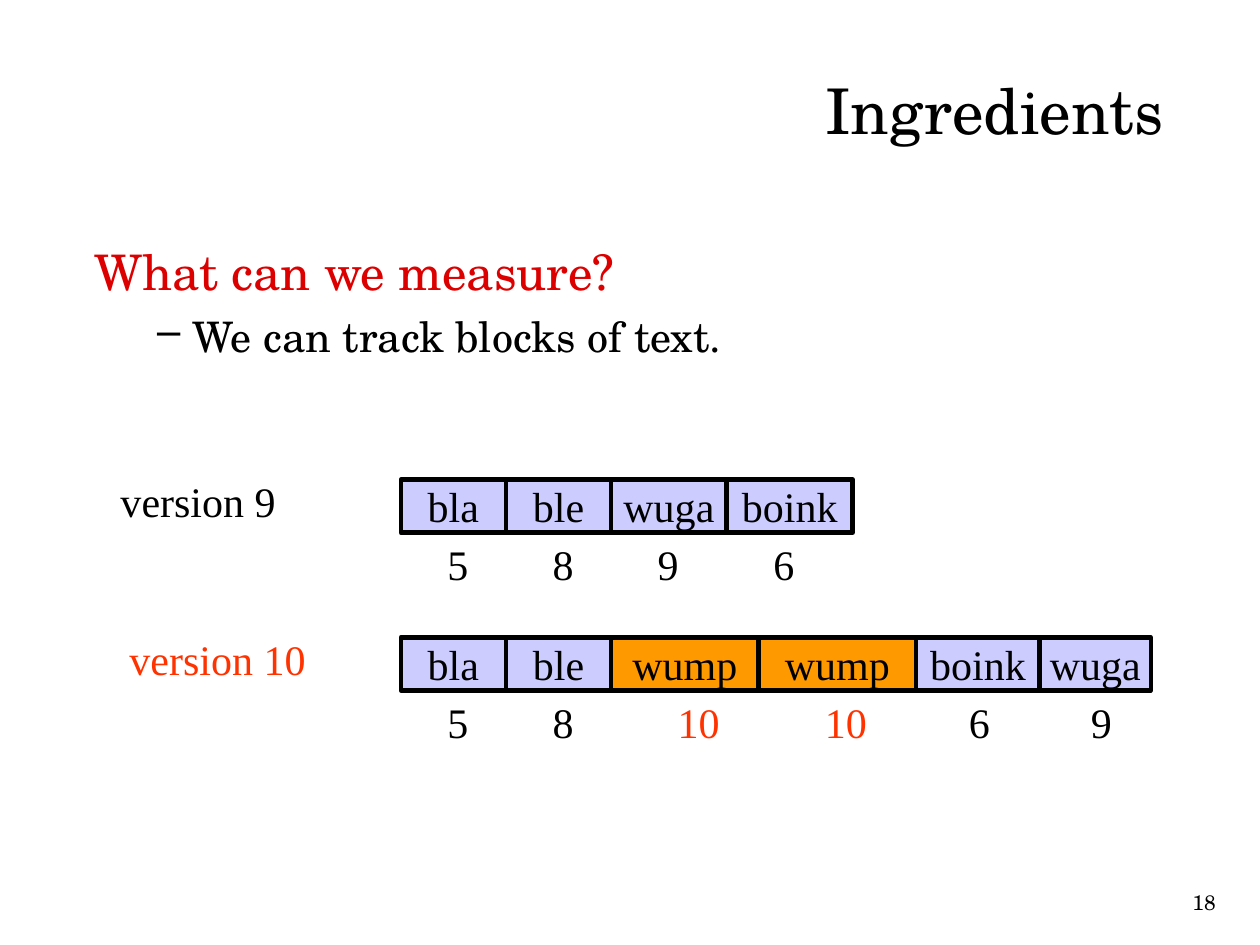
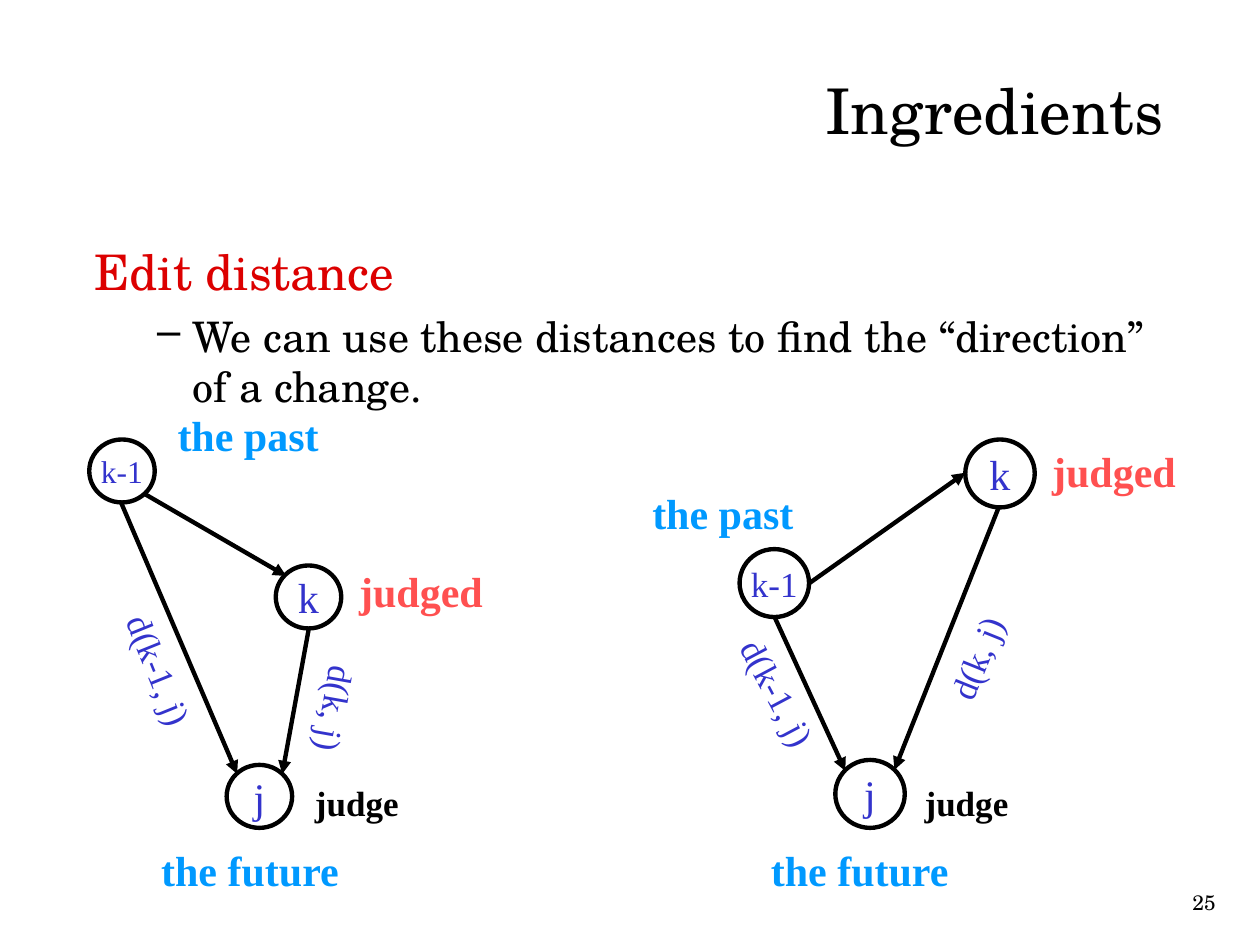
from pptx import Presentation
from pptx.dml.color import RGBColor
from pptx.enum.shapes import MSO_CONNECTOR, MSO_SHAPE
from pptx.enum.text import MSO_ANCHOR, PP_ALIGN
from pptx.oxml.ns import qn
from pptx.util import Cm, Pt
from lxml.etree import SubElement

BLACK = RGBColor(0x00, 0x00, 0x00)
RED = RGBColor(0xDC, 0x00, 0x00)
LILAC = RGBColor(0xCC, 0xCC, 0xFF)
ORANGE = RGBColor(0xFF, 0x99, 0x00)
FLAME = RGBColor(0xFF, 0x33, 0x00)
BLUE = RGBColor(0x33, 0x33, 0xCC)
SKY = RGBColor(0x00, 0x99, 0xFF)
CORAL = RGBColor(0xFF, 0x50, 0x50)
SCHOLA = "TeX Gyre Schola"
TIMES = "Times New Roman"


def style(para, text, size, color, font=TIMES, bold=False, align=PP_ALIGN.LEFT):
    para.text = text
    para.alignment = align
    for run in para.runs:
        run.font.name = font
        run.font.size = Pt(size)
        run.font.bold = bold
        run.font.color.rgb = color


def label(slide, text, left, top, width, height, size, color, bold=False, angle=0):
    box = slide.shapes.add_textbox(Cm(left), Cm(top), Cm(width), Cm(height))
    box.rotation = angle
    box.text_frame.word_wrap = False
    style(box.text_frame.paragraphs[0], text, size, color, bold=bold)


deck = Presentation()
deck.slide_width = Cm(25.4)
deck.slide_height = Cm(19.05)

pages = [
    ("What can we measure?", "We can track blocks of text.", "18"),
    ("Edit distance", "We can use these distances to find the “direction” of a change.", "25"),
]
slides = []
for head, point, number in pages:
    slide = deck.slides.add_slide(deck.slide_layouts[6])
    slides.append(slide)

    title = slide.shapes.add_textbox(Cm(1.9), Cm(0.76), Cm(21.56), Cm(2.9))
    body = slide.shapes.add_textbox(Cm(1.9), Cm(4.86), Cm(21.56), Cm(12.65))
    for box in (title, body):
        frame = box.text_frame
        frame.word_wrap = True
        frame.margin_left = frame.margin_right = 0
        frame.margin_top = frame.margin_bottom = 0
    title.text_frame.vertical_anchor = MSO_ANCHOR.MIDDLE
    style(title.text_frame.paragraphs[0], "Ingredients", 36, BLACK, SCHOLA,
          align=PP_ALIGN.RIGHT)

    style(body.text_frame.paragraphs[0], head, 28, RED, SCHOLA)
    item = body.text_frame.add_paragraph()
    item.level = 1
    item.space_before = Pt(6)
    props = item._p.get_or_add_pPr()
    props.set("marL", str(Cm(1.98)))
    props.set("indent", str(Cm(-0.71)))
    SubElement(props, qn("a:buChar")).set("char", "–")
    style(item, point, 24, BLACK, SCHOLA)

    foot = slide.shapes.add_textbox(Cm(23.52), Cm(17.8), Cm(1.24), Cm(0.76))
    foot.text_frame.word_wrap = True
    style(foot.text_frame.paragraphs[0], number, 12, BLACK, SCHOLA,
          align=PP_ALIGN.RIGHT)

blocks, graphs = slides

rows = [
    ("version 9", 2.18, 3.7, BLACK, 9.67, [
        ("bla", "5", 2.12, 0.69), ("ble", "8", 2.12, 0.69),
        ("wuga", "9", 2.33, 0.69), ("boink", "6", 2.54, 0.69)]),
    ("version 10", 2.36, 4.1, FLAME, 12.85, [
        ("bla", "5", 2.12, 0.69), ("ble", "8", 2.12, 0.69),
        ("wump", "10", 2.97, 1.09), ("wump", "10", 3.18, 1.09),
        ("boink", "6", 2.49, 0.81), ("wuga", "9", 2.24, 0.78)]),
]
for name, place, span, tint, top, words in rows:
    label(blocks, name, place, top - 0.2, span, 1.27, 24, tint)
    left = 8.08
    for word, age, width, shift in words:
        fresh = age == "10"
        cell = blocks.shapes.add_shape(
            MSO_SHAPE.RECTANGLE, Cm(left), Cm(top), Cm(width), Cm(1.07))
        cell.shadow.inherit = False
        cell.fill.solid()
        cell.fill.fore_color.rgb = ORANGE if fresh else LILAC
        cell.line.color.rgb = BLACK
        cell.line.width = Pt(2.5)
        cell.text_frame.word_wrap = False
        style(cell.text_frame.paragraphs[0], word, 24, BLACK, align=PP_ALIGN.CENTER)
        label(blocks, age, left + shift, top + 1.07, 1.4 if fresh else 0.95, 1.27,
              24, FLAME if fresh else BLACK)
        left += width

looks = {
    "the past": (3.4, 1.27, 24, SKY, True),
    "the future": (4.15, 1.27, 24, SKY, True),
    "judged": (3.1, 1.27, 24, CORAL, True),
    "judge": (2.4, 1.12, 20, BLACK, True),
    "d(k, j)": (2.24, 1.12, 20, BLUE, False),
    "d(k-1, j)": (2.82, 1.12, 20, BLUE, False),
}
trees = [
    (1.32, 1.27,
     [("k-1", 1.8, 8.86, 18), ("j", 4.57, 15.42, 24), ("k", 5.56, 11.4, 24)],
     [(2.44, 10.13, 4.78, 15.6), (2.92, 9.96, 5.77, 11.61), (6.22, 12.7, 5.69, 15.6)],
     [("d(k-1, j)", 1.8, 12.95, 68), ("d(k, j)", 5.64, 13.74, 100),
      ("judge", 6.1, 15.62, 0), ("judged", 6.99, 11.28, 0),
      ("the past", 3.33, 8.13, 0), ("the future", 3, 16.89, 0)]),
    (1.4, 1.37,
     [("k-1", 14.91, 11.07, 20), ("j", 16.84, 15.32, 24), ("k", 19.46, 8.86, 24)],
     [(16.31, 11.76, 19.46, 9.53), (15.62, 12.45, 17.04, 15.54),
      (20.14, 10.21, 18.03, 15.52)],
     [("d(k-1, j)", 14.27, 13.41, 62), ("d(k, j)", 18.57, 12.7, 292),
      ("judge", 18.39, 15.62, 0), ("judged", 20.96, 8.86, 0),
      ("the past", 12.9, 9.7, 0), ("the future", 15.29, 16.89, 0)]),
]
for width, height, nodes, edges, notes in trees:
    for name, left, top, size in nodes:
        node = graphs.shapes.add_shape(
            MSO_SHAPE.OVAL, Cm(left), Cm(top), Cm(width), Cm(height))
        node.shadow.inherit = False
        node.fill.background()
        node.line.color.rgb = BLACK
        node.line.width = Pt(2.5)
        node.text_frame.word_wrap = False
        style(node.text_frame.paragraphs[0], name, size, BLUE, align=PP_ALIGN.CENTER)
    for ends in edges:
        edge = graphs.shapes.add_connector(
            MSO_CONNECTOR.STRAIGHT, *[Cm(end) for end in ends])
        edge.line.color.rgb = BLACK
        edge.line.width = Pt(2.5)
        SubElement(edge.line._get_or_add_ln(), qn("a:tailEnd")).set("type", "triangle")
        SubElement(edge._element.spPr, qn("a:effectLst"))
    for text, left, top, angle in notes:
        label(graphs, text, left, top, *looks[text], angle)

deck.save("out.pptx")
